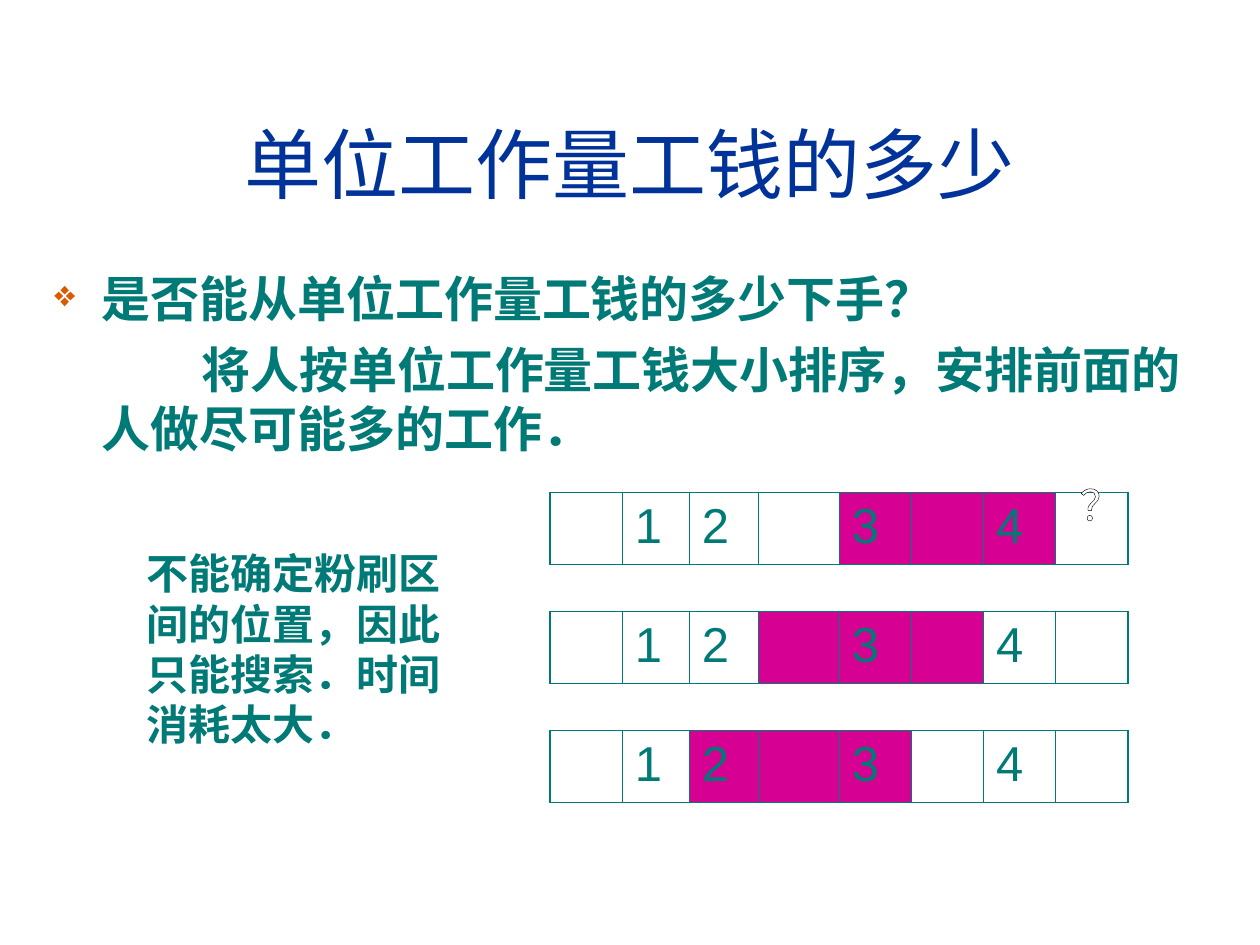
from lxml import etree
from pptx import Presentation, util as u
from pptx.dml.color import RGBColor
from pptx.enum import text as t
from pptx.oxml.ns import qn

Pt = u.Pt
hues = {"title": "003399", "teal": "007A77", "mark": "DC5900",
        "paint": "D60093", "white": "FFFFFF", "black": "000000"}


def write(para, words, size=28, hue="teal", bold=False, face="Arial", align="LEFT"):
    para.alignment = getattr(t.PP_ALIGN, align)
    run = para.add_run()
    run.text = words
    font = run.font
    font.size, font.bold, font.name = Pt(size), bold, face
    font.color.rgb = RGBColor.from_string(hues[hue])
    etree.SubElement(font._element, qn("a:ea"), typeface=face)
    return run


def line(host, tag, width, hue):
    edge = etree.SubElement(host, qn(tag), w=str(Pt(width)))
    fill = etree.SubElement(edge, qn("a:solidFill"))
    etree.SubElement(fill, qn("a:srgbClr"), val=hues[hue])
    return edge


deck = Presentation()
deck.slide_width, deck.slide_height = Pt(720), Pt(540)
slide = deck.slides.add_slide(deck.slide_layouts[5])

title = slide.shapes.title
title.left, title.top, title.width, title.height = Pt(24), Pt(48), Pt(672), Pt(90)
title.text_frame.vertical_anchor = t.MSO_ANCHOR.MIDDLE
write(title.text_frame.paragraphs[0], "单位工作量工钱的多少", size=44, hue="title", align="CENTER")

body = slide.shapes.add_textbox(Pt(24), Pt(150), Pt(671), Pt(120)).text_frame
body.word_wrap = True
ask, plan = body.paragraphs[0], body.add_paragraph()
write(ask, "是否能从单位工作量工钱的多少下手？", bold=True)
write(plan, "将人按单位工作量工钱大小排序，安排前面的人做尽可能多的工作．", bold=True)
for para, indent in ((ask, -27), (plan, 57)):
    para.space_before = Pt(7)
    props = para._p.get_or_add_pPr()
    props.set("marL", str(Pt(27)))
    props.set("indent", str(Pt(indent)))
props = ask._p.get_or_add_pPr()
tint = etree.SubElement(props, qn("a:buClr"))
etree.SubElement(tint, qn("a:srgbClr"), val=hues["mark"])
etree.SubElement(props, qn("a:buSzPct"), val="75000")
etree.SubElement(props, qn("a:buChar"), char="❖")

widths = [41.25, 38.25, 39.5, 46.25] + [41.25] * 4
labels = ["", "1", "2", "", "3", "", "4", ""]
painted = [(4, 5, 6), (3, 4, 5), (2, 3, 4)]
last = len(labels) - 1
for row, cols in enumerate(painted):
    frame = slide.shapes.add_table(1, len(labels), Pt(314.4), Pt(281.5 + 68 * row),
                                   Pt(sum(widths)), Pt(41))
    grid = frame.table
    grid.first_row = grid.horz_banding = False
    for col, (width, label) in enumerate(zip(widths, labels)):
        grid.columns[col].width = Pt(width)
        cell = grid.cell(0, col)
        if label:
            write(cell.text_frame.paragraphs[0], label)
        props = cell._tc.get_or_add_tcPr()
        line(props, "a:lnL", 1.08 if col == 0 else 0.45, "teal")
        line(props, "a:lnR", 1.08 if col == last else 0.45, "teal")
        line(props, "a:lnT", 1.08, "teal")
        line(props, "a:lnB", 1.08, "teal")
        if col in cols:
            cell.fill.solid()
            cell.fill.fore_color.rgb = RGBColor.from_string(hues["paint"])
        else:
            cell.fill.background()

doubt = slide.shapes.add_textbox(Pt(610), Pt(270), Pt(88.5), Pt(193)).text_frame
doubt.word_wrap = False
run = write(doubt.paragraphs[0], "？", size=24, hue="white", face="Noto Sans CJK SC")
props = run.font._element
props.insert(0, line(props, "a:ln", 0.75, "black"))

note = slide.shapes.add_textbox(Pt(76.5), Pt(309.5), Pt(187), Pt(122.5)).text_frame
note.word_wrap = True
write(note.paragraphs[0], "不能确定粉刷区间的位置，因此只能搜索．时间消耗太大．", size=24, bold=True)

deck.save("out.pptx")
